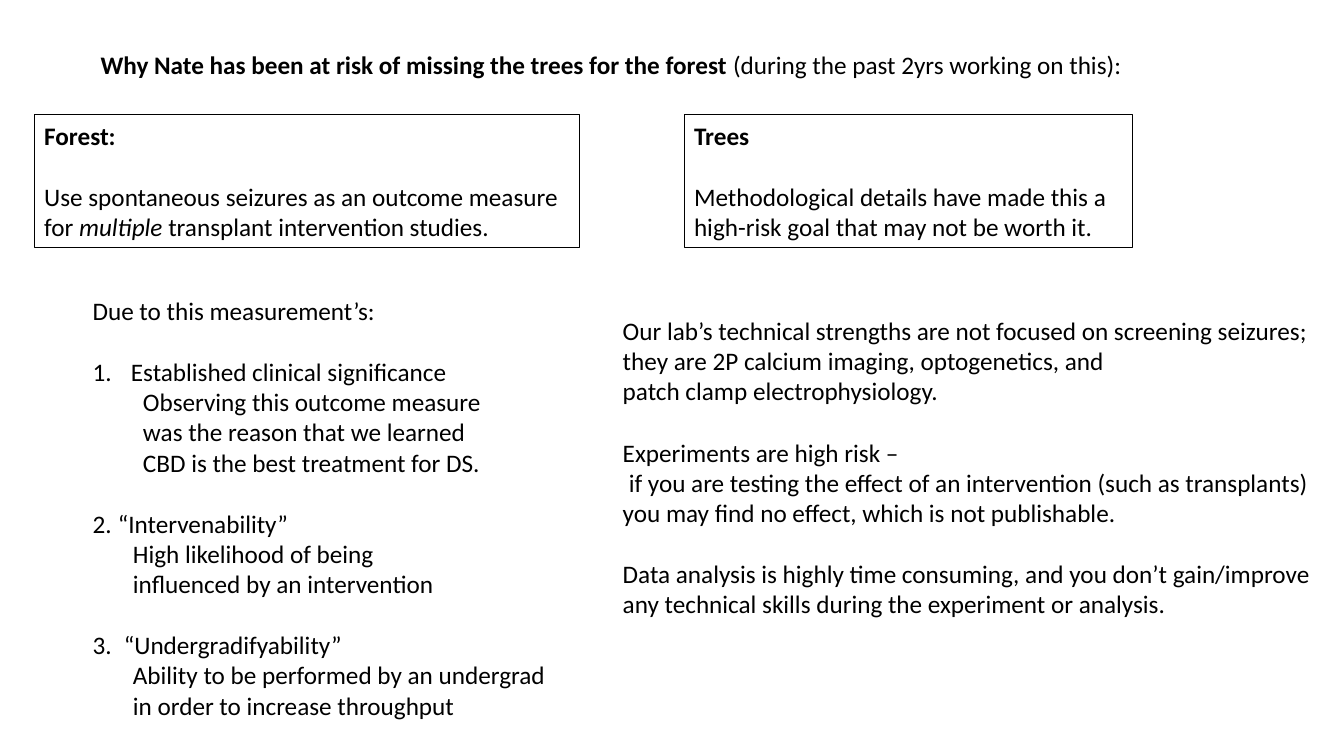
from dataclasses import dataclass

from lxml import etree
from pptx import Presentation
from pptx.dml.color import RGBColor
from pptx.enum.shapes import MSO_SHAPE
from pptx.enum.text import MSO_ANCHOR, PP_ALIGN
from pptx.oxml.ns import qn
from pptx.util import Inches, Pt


@dataclass(frozen=True)
class Theme:
    """Colours, font and sizes used on the slide."""
    ink: RGBColor = RGBColor(0, 0, 0)
    font: str = "Calibri"
    size: float = 18
    gap: float = 22
    outline: float = 0.75


@dataclass
class Para:
    """A paragraph of (text, style) runs; indents are in inches."""
    runs: list
    gap: bool = False
    indent: float = 0
    number: int = 0


def plain(text, **layout):
    """Return a paragraph with one unstyled run."""
    return Para([(text, "")], **layout)


def numbered_item(number, heading, detail, hang, detail_indent):
    """Return a numbered heading and its indented detail."""
    return [plain(heading, gap=True, indent=hang, number=number),
            plain(detail, indent=detail_indent)]


class SlideBuilder:
    """Holds the theme and current slide; boxes are percentages of its size."""

    def __init__(self, prs, theme):
        """Add a blank slide to the presentation."""
        self.prs, self.theme = prs, theme
        self.slide = prs.slides.add_slide(prs.slide_layouts[6])

    def place(self, box):
        """Turn a left, top, width, height percentage box into lengths."""
        sides = (self.prs.slide_width, self.prs.slide_height) * 2
        return [round(side * share / 100) for side, share in zip(sides, box)]

    def text(self, box, paras):
        """Add a text box."""
        self.fill_text(self.slide.shapes.add_textbox(*self.place(box)), paras)

    def framed(self, box, paras):
        """Add an outlined rectangle holding text."""
        shape = self.slide.shapes.add_shape(MSO_SHAPE.RECTANGLE, *self.place(box))
        shape.shadow.inherit = False
        shape.fill.background()
        shape.line.color.rgb = self.theme.ink
        shape.line.width = Pt(self.theme.outline)
        self.fill_text(shape, paras)

    def fill_text(self, shape, paras):
        """Fill a shape with paragraphs."""
        frame = shape.text_frame
        frame.word_wrap = True
        frame.vertical_anchor = MSO_ANCHOR.TOP
        for i, para in enumerate(paras):
            target = frame.add_paragraph() if i else frame.paragraphs[0]
            target.alignment = PP_ALIGN.LEFT
            target.space_before = Pt(self.theme.gap if para.gap else 0)
            self.indent(target, para)
            for text, style in para.runs:
                self.add_run(target, text, style)

    def indent(self, target, para):
        """Set the left indent and, for a numbered item, its number."""
        props = target._p.get_or_add_pPr()
        props.set("marL", str(Inches(para.indent)))
        if para.number:
            props.set("indent", str(-Inches(para.indent)))
            etree.SubElement(props, qn("a:buAutoNum"), type="arabicPeriod",
                             startAt=str(para.number))

    def add_run(self, target, text, style):
        """Add a styled run, breaking lines at each newline."""
        for i, line in enumerate(text.split("\n")):
            if i:
                target.add_line_break()
            run = target.add_run()
            run.text = line
            font = run.font
            font.name, font.size = self.theme.font, Pt(self.theme.size)
            font.color.rgb = self.theme.ink
            font.bold, font.italic = style == "bold", style == "italic"


def main():
    """Build and save the slide."""
    prs = Presentation()
    prs.slide_width, prs.slide_height = Inches(13.33), Inches(7.5)
    page = SlideBuilder(prs, Theme())
    card_top, card_height = 15.2, 17.5

    page.framed((2.55, card_top, 40.6, card_height), [
        Para([("Forest:", "bold")]),
        Para([("Use spontaneous seizures as an outcome measure\nfor ", ""),
              ("multiple", "italic"),
              (" transplant intervention studies.", "")], gap=True),
    ])
    page.text((6.15, 38.4, 35.7, 57.9), [
        plain("Due to this measurement’s:"),
        *numbered_item(1, "Established clinical significance",
                       "Observing this outcome measure\nwas the reason that we learned\n"
                       "CBD is the best treatment for DS.", 0.38, 0.5),
        *numbered_item(2, "“Intervenability”",
                       "High likelihood of being\ninfluenced by an intervention", 0.25, 0.4),
        *numbered_item(3, "“Undergradifyability”",
                       "Ability to be performed by an undergrad\n"
                       "in order to increase throughput", 0.31, 0.4),
    ])
    page.text((6.75, 5.85, 78.3, 5.4), [
        Para([("Why Nate has been at risk of missing the trees for the forest ", "bold"),
              ("(during the past 2yrs working on this):", "")]),
    ])
    page.framed((50.9, card_top, 33.4, card_height), [
        Para([("Trees", "bold")]),
        plain("Methodological details have made this a\n"
              "high-risk goal that may not be worth it.", gap=True),
    ])
    page.text((45.6, 41.05, 53.7, 49.8), [
        plain("Our lab’s technical strengths are not focused on screening seizures;\n"
              "they are 2P calcium imaging, optogenetics, and\n"
              "patch clamp electrophysiology."),
        plain("Experiments are high risk –", gap=True),
        plain("if you are testing the effect of an intervention (such as transplants)",
              indent=0.06),
        plain("you may find no effect, which is not publishable."),
        plain("Data analysis is highly time consuming, and you don’t gain/improve\n"
              "any technical skills during the experiment or analysis.", gap=True),
    ])
    prs.save("out.pptx")


main()
